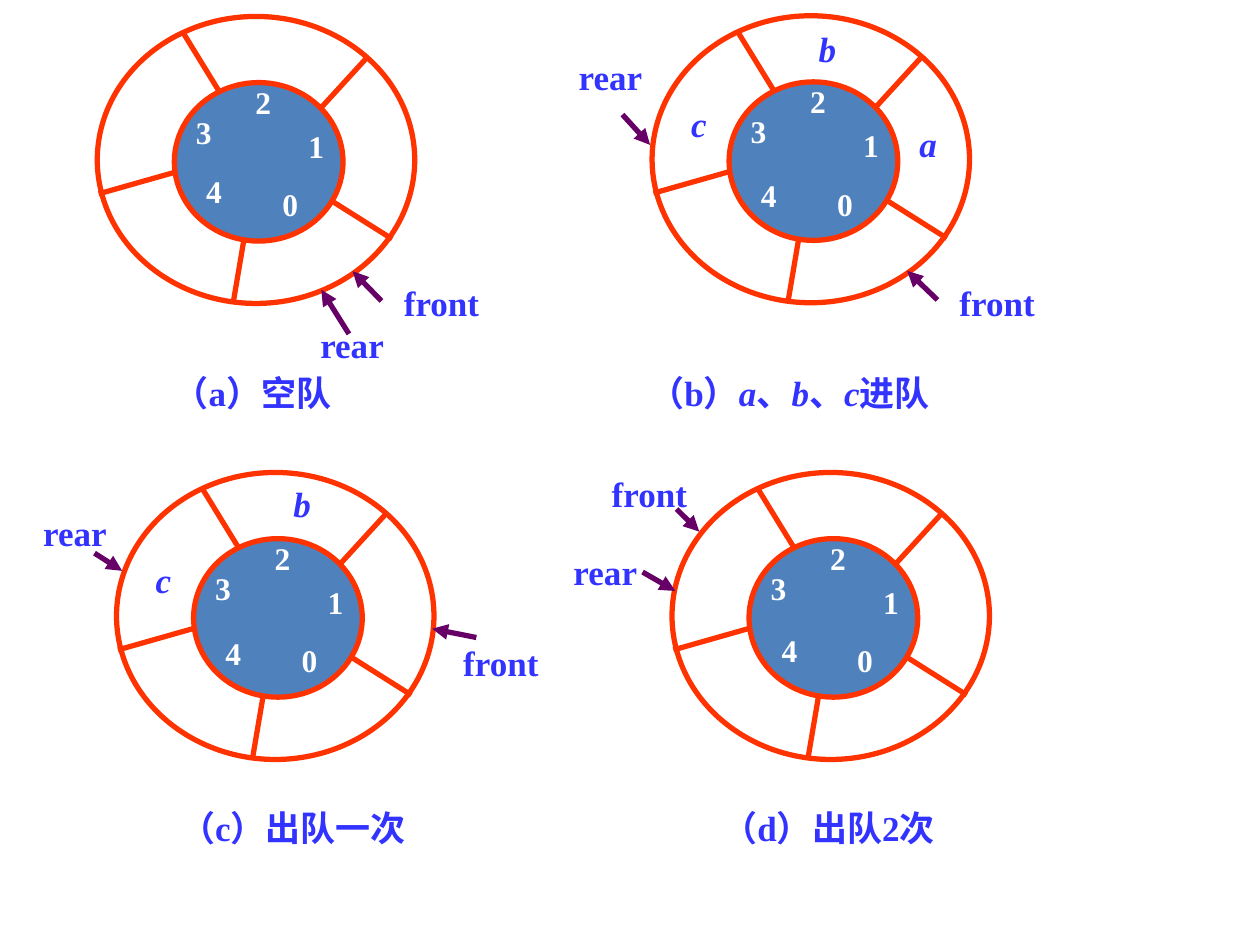
from dataclasses import dataclass
from lxml import etree
from pptx import Presentation
from pptx.dml.color import RGBColor as Rgb
from pptx.enum import shapes, text
from pptx.oxml import ns
from pptx.util import Pt


@dataclass(frozen=True)
class Theme:
    font: str = "Times New Roman"
    ring: Rgb = Rgb(0xFF, 0x33, 0x00)
    hub: Rgb = Rgb(0x4F, 0x81, 0xBD)
    arrow: Rgb = Rgb(0x66, 0x00, 0x66)
    label: Rgb = Rgb(0x33, 0x33, 0xFF)
    digit: Rgb = Rgb(0xFF, 0xFF, 0xFF)
    small: float = 18
    large: float = 20
    stroke: float = 3


# Offsets from the top left corner of a ring
SPOKES = [
    (134.6, 105.8, 168.5, 127.2),
    (128.2, 51.8, 154, 23.6),
    (49.5, 10, 70, 43.4),
    (83.6, 128.7, 77.8, 162.8),
    (0.8, 101.4, 43.8, 89.2),
]
DIGITS = [(99, 96.5), (113.8, 63.3), (83.5, 38), (49.5, 55.3)]

# Ring corner, place of digit 4, pointers (word, corner, arrow),
# queue items (letter, corner), caption (parts, left, top, width).
# Every second caption part is italic.
QUEUES = [
    dict(ring=(55.6, 9.4), four=(55.4, 89.2),
         marks=[("front", (223.9, 160.6), (218, 172, 201.5, 155)),
                ("rear", (172.8, 185), (199.4, 190.8, 183.6, 165.6))],
         items=[],
         title=(["（a）空队"], 76.3, 208.8, 136)),
    dict(ring=(372.6, 9), four=(55.4, 91.8),
         marks=[("front", (541.4, 160.6), (535.7, 171.4, 518.4, 154.8)),
                ("rear", (320.4, 31.7), (355.7, 65.5, 371.5, 82.8))],
         items=[("a", (519.1, 69.8)), ("b", (461.5, 15.8)),
                ("c", (388.1, 58.3))],
         title=(["（b）", "a", "、", "b", "、", "c", "进队"],
                326.2, 208.8, 250)),
    dict(ring=(66.6, 270), four=(55.4, 92.2),
         marks=[("front", (257.8, 366.5), (272.2, 364.3, 247, 359.3)),
                ("rear", (14.4, 292.3), (54, 316.1, 69.8, 326.2))],
         items=[("b", (161.3, 275.8)), ("c", (82.1, 319))],
         title=(["（c）出队一次"], 42.5, 457.2, 250)),
    dict(ring=(384, 270), four=(55.8, 90.8),
         marks=[("front", (342.7, 270), (386.6, 290.9, 399.6, 303.8)),
                ("rear", (317.5, 314.6), (367.2, 326.9, 385.9, 337.7))],
         items=[],
         title=(["（d）出队2次"], 348.5, 457.2, 250)),
]


class Board:
    def __init__(self, slide, theme):
        self.slide, self.theme = slide, theme
        self.group()

    def group(self):
        """Start a new group that takes the next elements."""
        self.pen = self.slide.shapes.add_group_shape().shapes

    def oval(self, x, y, w, h, fill=None):
        oval = self.pen.add_shape(shapes.MSO_SHAPE.OVAL,
                                  Pt(x), Pt(y), Pt(w), Pt(h))
        oval.shadow.inherit = False
        if fill is None:
            oval.fill.background()
        else:
            oval.fill.solid()
            oval.fill.fore_color.rgb = fill
        oval.line.color.rgb = self.theme.ring
        oval.line.width = Pt(self.theme.stroke)

    def line(self, ends, color, head=False):
        line = self.pen.add_connector(shapes.MSO_CONNECTOR.STRAIGHT,
                                      *[Pt(end) for end in ends])
        line.line.color.rgb = color
        line.line.width = Pt(self.theme.stroke)
        if head:
            tip = etree.SubElement(line.line._get_or_add_ln(),
                                   ns.qn("a:tailEnd"))
            tip.set("type", "triangle")
        props = line._element.spPr
        etree.SubElement(props, ns.qn("a:effectLst"))

    def text(self, parts, x, y, w, h, size, color, slant=1, pad=(0, 0)):
        """Centre the parts; those with odd index plus slant even are italic."""
        box = self.pen.add_textbox(Pt(x), Pt(y), Pt(w), Pt(h))
        frame = box.text_frame
        frame.word_wrap = True
        frame.auto_size = text.MSO_AUTO_SIZE.SHAPE_TO_FIT_TEXT
        frame.margin_left = frame.margin_right = Pt(pad[0])
        frame.margin_top = frame.margin_bottom = Pt(pad[1])
        para = frame.paragraphs[0]
        para.alignment = text.PP_ALIGN.CENTER
        for i, part in enumerate(parts):
            run = para.add_run()
            run.text = part
            font = run.font
            font.name, font.size = self.theme.font, Pt(size)
            font.bold, font.italic = True, i % 2 == slant
            font.color.rgb = color

    def wheel(self, x, y, four):
        look = self.theme
        self.oval(x + 44, y + 37.8, 96.4, 90.6, look.hub)
        self.oval(x, y, 181.4, 164)
        for a, b, c, d in SPOKES:
            self.line((x + a, y + b, x + c, y + d), look.ring)
        for num, (dx, dy) in enumerate(DIGITS + [four]):
            self.text([str(num)], x + dx, y + dy, 22.6, 21.6,
                      look.small, look.digit)

    def mark(self, word, spot, ends):
        look = self.theme
        self.line(ends, look.arrow, head=True)
        self.text([word], *spot, 56.8, 24, look.large, look.label)

    def item(self, name, spot):
        look = self.theme
        self.text([name], *spot, 22.6, 24, look.large, look.label, slant=0)

    def title(self, parts, x, y, w):
        look = self.theme
        self.text(parts, x, y, w, 31.6, look.large, look.label,
                  pad=(7.2, 3.6))


def main():
    deck = Presentation()
    deck.slide_width, deck.slide_height = Pt(720), Pt(540)
    board = Board(deck.slides.add_slide(deck.slide_layouts[6]), Theme())
    for i, queue in enumerate(QUEUES):
        if i:
            board.group()
        board.wheel(*queue["ring"], queue["four"])
        for mark in queue["marks"]:
            board.mark(*mark)
        for item in queue["items"]:
            board.item(*item)
        board.title(*queue["title"])
    deck.save("out.pptx")


if __name__ == "__main__":
    main()
